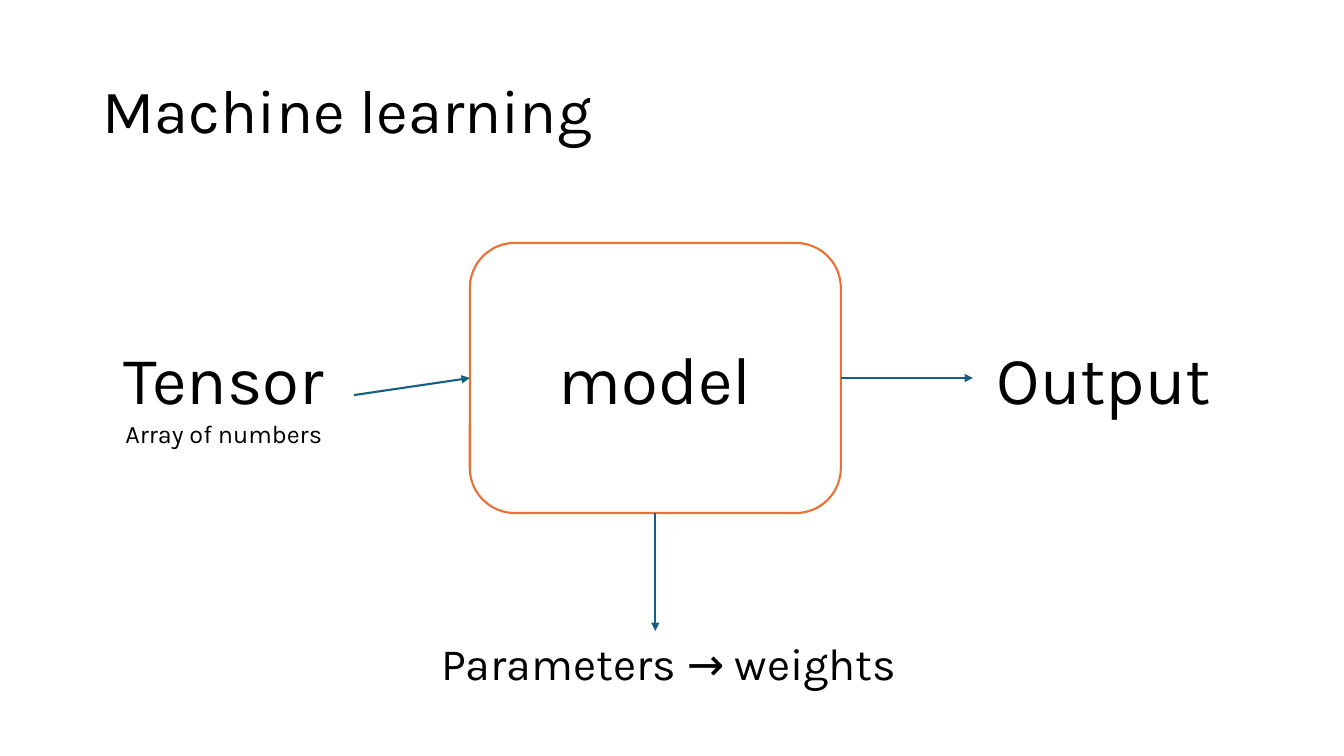
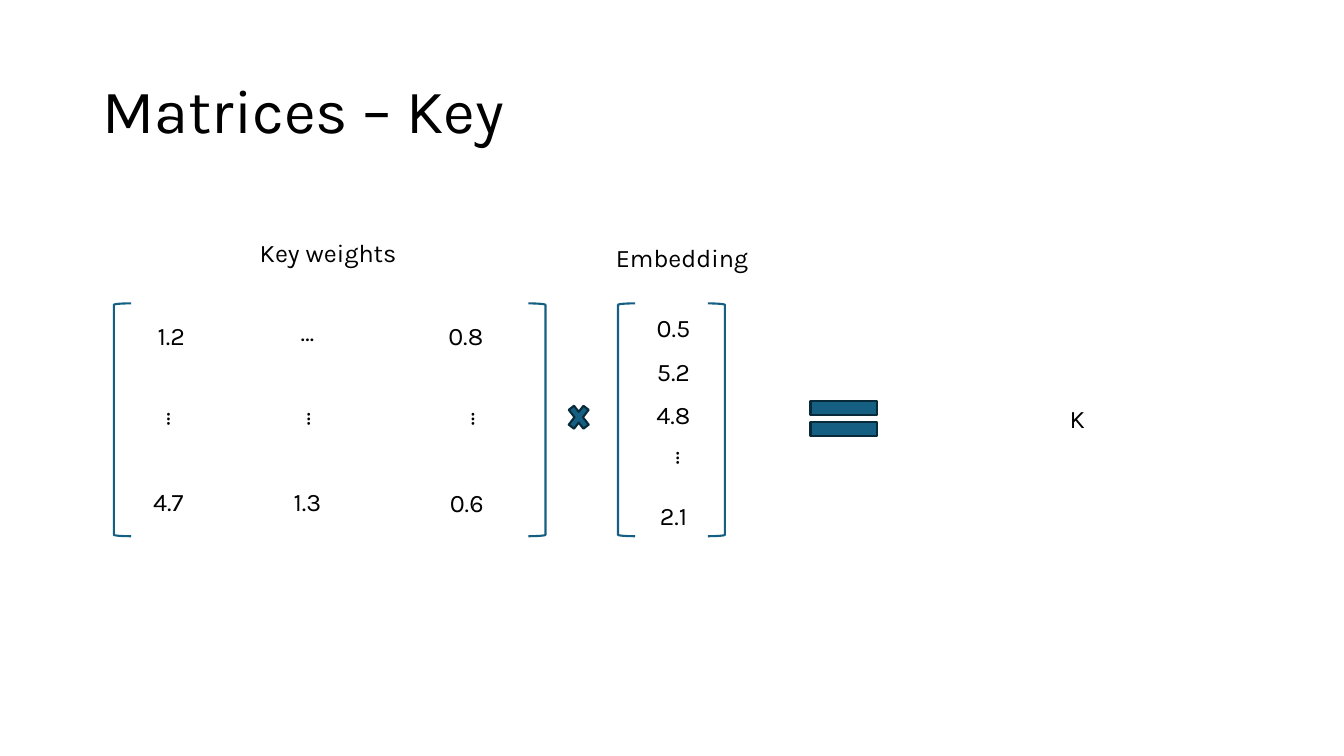
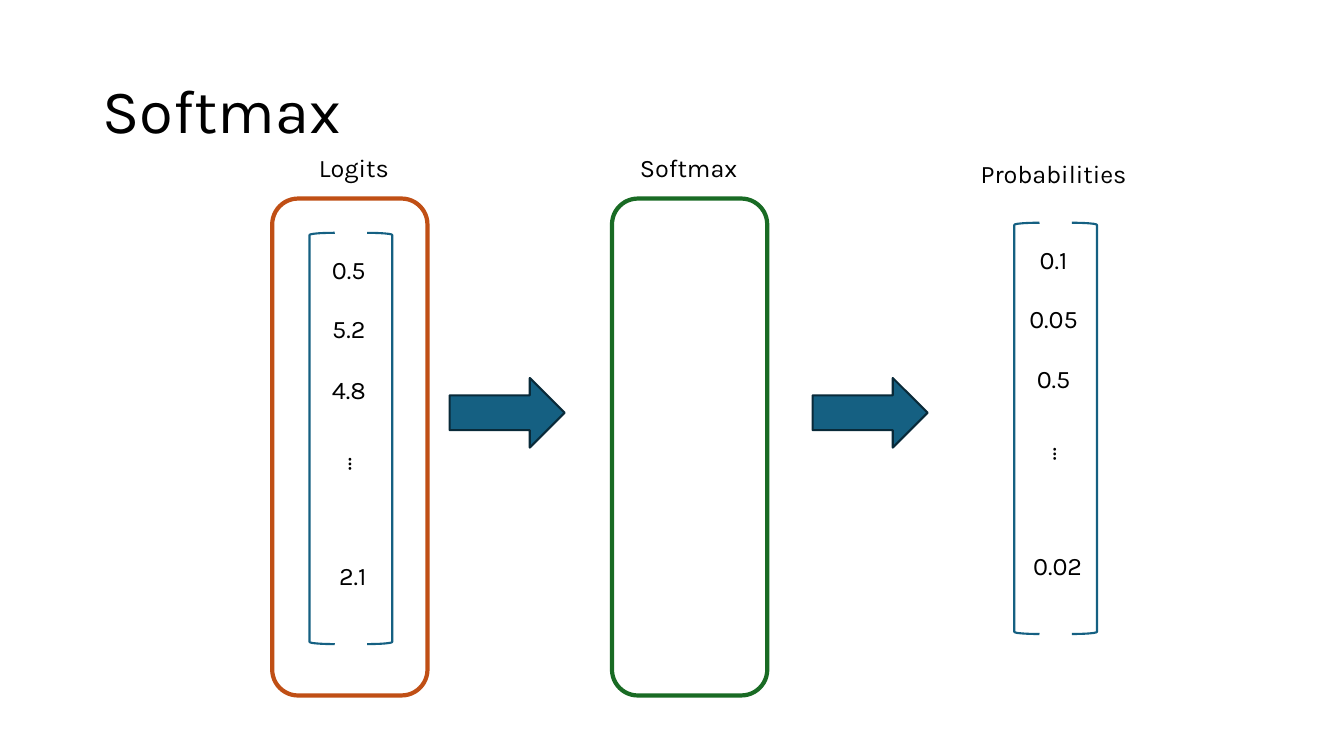
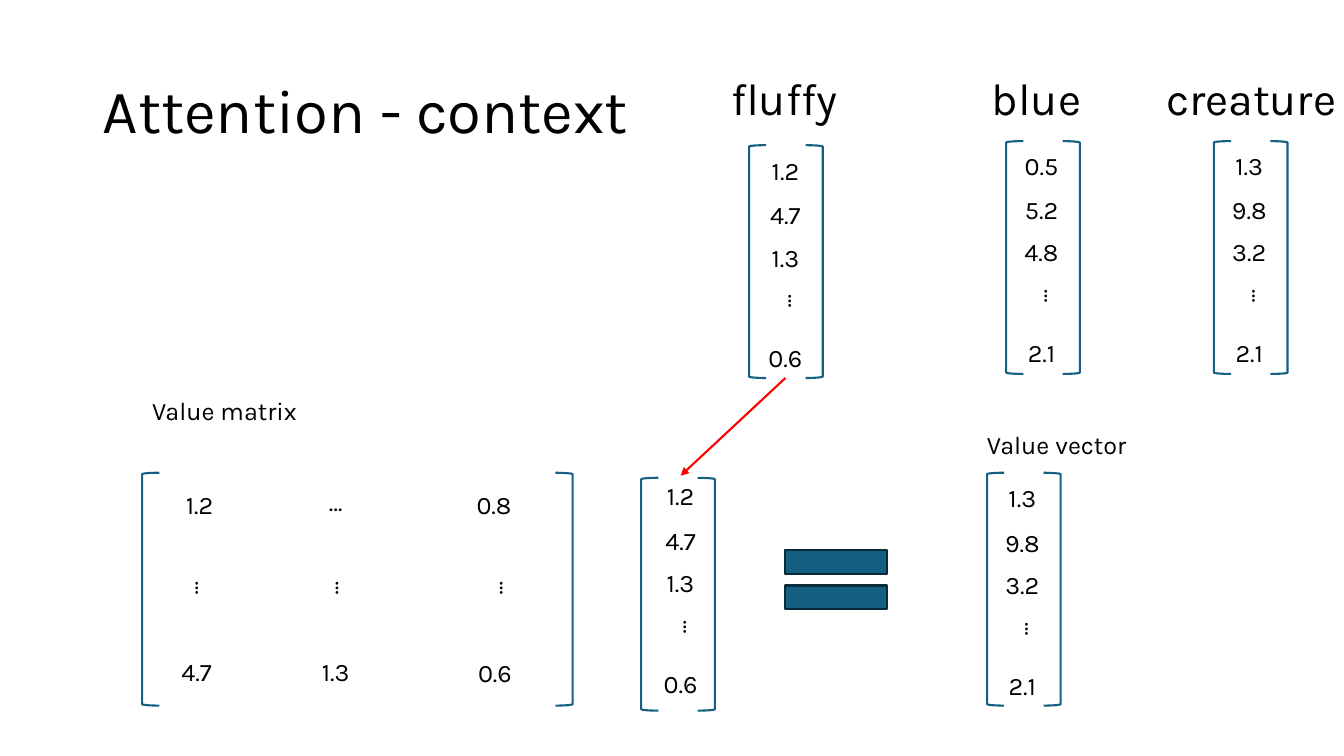
from lxml.etree import SubElement
from pptx import Presentation
from pptx.dml.color import RGBColor
from pptx.enum.shapes import MSO_CONNECTOR, MSO_SHAPE as Kind
from pptx.enum.text import MSO_ANCHOR, MSO_AUTO_SIZE, PP_ALIGN as Align
from pptx.oxml.ns import qn
from pptx.util import Pt

PX = 9144  # EMU in one px, 100 px to the inch
FONT = "Karla"
BLACK = RGBColor(0x00, 0x00, 0x00)
BLUE = RGBColor(0x15, 0x60, 0x82)
NAVY = RGBColor(0x09, 0x2A, 0x39)
ORANGE = RGBColor(0xE9, 0x71, 0x32)
RUST = RGBColor(0xC0, 0x4F, 0x15)
GREEN = RGBColor(0x19, 0x6B, 0x24)
RED = RGBColor(0xFF, 0x00, 0x00)
TITLE, HUGE, LARGE, BODY = 44, 48, 32, 18
DOTS = "…"


def add_text(page, box, *lines, align=Align.CENTER, vertical=False):
    """Add a text box with one paragraph for each (text, size) line."""
    text_box = page.shapes.add_textbox(*(n * PX for n in box))
    frame = text_box.text_frame
    frame.word_wrap = True
    frame.auto_size = MSO_AUTO_SIZE.SHAPE_TO_FIT_TEXT
    if vertical:
        frame._txBody.bodyPr.set("vert", "vert")
    for index, (text, size) in enumerate(lines):
        para = frame.add_paragraph() if index else frame.paragraphs[0]
        para.text = text
        para.alignment = align
        para.font.name = FONT
        para.font.size = Pt(size)
        para.font.color.rgb = BLACK
    return text_box


def add_outline(page, kind, box, color=BLUE, width=1.5, fill=None):
    shape = page.shapes.add_shape(kind, *(n * PX for n in box))
    shape.shadow.inherit = False
    shape.line.color.rgb = color
    shape.line.width = Pt(width)
    if fill is None:
        shape.fill.background()
    else:
        shape.fill.solid()
        shape.fill.fore_color.rgb = fill


deck = Presentation()
deck.slide_width, deck.slide_height = 1333 * PX, 750 * PX

# Titles
pages = []
for title in ("Machine learning", "Matrices – Key", "Softmax", "Attention - context"):
    page = deck.slides.add_slide(deck.slide_layouts[6])
    frame = add_text(page, (92, 40, 1150, 145), (title, TITLE), align=Align.LEFT).text_frame
    frame.auto_size = MSO_AUTO_SIZE.NONE
    frame.vertical_anchor = MSO_ANCHOR.MIDDLE
    frame.paragraphs[0].line_spacing = 0.9
    pages.append(page)
learning, key, softmax, attention = pages

# Words and labels
add_text(learning, (92, 330, 260, 125), ("Tensor", HUGE), ("Array of numbers", BODY))
for page, text, size, box in (
    (learning, "model", HUGE, (520, 330, 260, 91)),
    (learning, "Output", HUGE, (965, 330, 260, 91)),
    (learning, "Parameters → weights", LARGE, (409, 626, 509, 64)),
    (key, "Key weights", BODY, (62, 231, 527, 40)),
    (key, "Embedding", BODY, (413, 235, 527, 40)),
    (key, "K", BODY, (917, 395, 303, 40)),
    (softmax, "Logits", BODY, (242, 146, 218, 40)),
    (softmax, "Softmax", BODY, (574, 146, 218, 40)),
    (softmax, "Probabilities", BODY, (936, 152, 218, 40)),
    (attention, "fluffy", LARGE, (667, 65, 222, 64)),
    (attention, "blue", LARGE, (917, 65, 222, 64)),
    (attention, "creature", LARGE, (1130, 65, 222, 64)),
    (attention, "Value vector", BODY, (954, 421, 188, 40)),
):
    add_text(page, box, (text, size))
add_text(attention, (141, 387, 419, 40), ("Value matrix", BODY), align=Align.LEFT)

# Frames, operators and block arrows
add_outline(learning, Kind.ROUNDED_RECTANGLE, (466, 241, 368, 268), ORANGE)
for left, color in ((270, RUST), (607, GREEN)):
    add_outline(softmax, Kind.ROUNDED_RECTANGLE, (left, 197, 154, 493), color, 3)
for page, kind, box in (
    (key, Kind.MATH_MULTIPLY, (560, 396, 28, 36)),
    (key, Kind.MATH_EQUAL, (792, 386, 90, 59)),
    (softmax, Kind.RIGHT_ARROW, (446, 375, 114, 69)),
    (softmax, Kind.RIGHT_ARROW, (806, 375, 114, 69)),
    (attention, Kind.MATH_EQUAL, (760, 525, 138, 100)),
):
    add_outline(page, kind, box, NAVY, fill=BLUE)

# Brackets: left edges of the pair, top, width, height
for page, left, right, top, width, height in (
    (key, 113, 524, 301, 17, 231),
    (key, 613, 702, 301, 17, 231),
    (softmax, 307, 364, 231, 25, 408),
    (softmax, 1006, 1063, 221, 25, 408),
    (attention, 743, 799, 144, 17, 231),
    (attention, 998, 1054, 140, 17, 231),
    (attention, 1204, 1260, 140, 17, 231),
    (attention, 141, 551, 469, 17, 231),
    (attention, 636, 692, 474, 17, 231),
    (attention, 979, 1035, 469, 17, 231),
):
    add_outline(page, Kind.LEFT_BRACKET, (left, top, width, height))
    add_outline(page, Kind.RIGHT_BRACKET, (right, top, width, height))

# Vectors: place of the first number, then the five entries
SHORT_STEPS = (0, 44, 86, 130, 186)
TALL_STEPS = (0, 59, 119, 178, 304)
for page, left, top, numbers in (
    (key, 628, 305, ("0.5", "5.2", "4.8", DOTS, "2.1")),
    (softmax, 303, 247, ("0.5", "5.2", "4.8", DOTS, "2.1")),
    (softmax, 1002, 237, ("0.1", "0.05", "0.5", DOTS, "0.02")),
    (attention, 739, 149, ("1.2", "4.7", "1.3", DOTS, "0.6")),
    (attention, 993, 144, ("0.5", "5.2", "4.8", DOTS, "2.1")),
    (attention, 1199, 144, ("1.3", "9.8", "3.2", DOTS, "2.1")),
    (attention, 635, 472, ("1.2", "4.7", "1.3", DOTS, "0.6")),
    (attention, 974, 474, ("1.3", "9.8", "3.2", DOTS, "2.1")),
):
    tall = page is softmax
    steps = TALL_STEPS if tall else SHORT_STEPS
    for row, (number, step) in enumerate(zip(numbers, steps)):
        if number == DOTS:
            box = (left + 23, top + step, 50, 71 if tall else 40)
        else:
            shift = 4 if tall and row == 4 else 0
            box = (left + shift, top + step, 86 if tall else 80, 40)
        add_text(page, box, (number, BODY), vertical=number == DOTS)

# Matrices: entries placed from the top left corner of the bracket
for page, left, top in ((key, 113, 301), (attention, 141, 469)):
    for number, across, down in (
        ("1.2", 17, 12), (DOTS, 167, 13), ("0.8", 309, 12),
        (DOTS, 33, 95), (DOTS, 172, 95), (DOTS, 335, 95),
        ("4.7", 14, 177), ("1.3", 152, 177), ("0.6", 310, 178),
    ):
        is_dots = number == DOTS
        box = (left + across, top + down, 50 if is_dots else 80, 40)
        entry = add_text(page, box, (number, BODY), vertical=is_dots)
        if is_dots and down == 13:
            entry.rotation = 270

# Thin arrows
for page, ends, color in (
    (learning, (351, 392, 466, 375), BLUE),
    (learning, (834, 375, 965, 375), BLUE),
    (learning, (650, 509, 650, 626), BLUE),
    (attention, (779, 375, 675, 472), RED),
):
    arrow = page.shapes.add_connector(MSO_CONNECTOR.STRAIGHT, *(n * PX for n in ends))
    arrow.line.color.rgb = color
    arrow.line.width = Pt(1.5)
    SubElement(arrow.line._get_or_add_ln(), qn("a:tailEnd")).set("type", "triangle")
    SubElement(arrow._element.spPr, qn("a:effectLst"))

deck.save("out.pptx")
